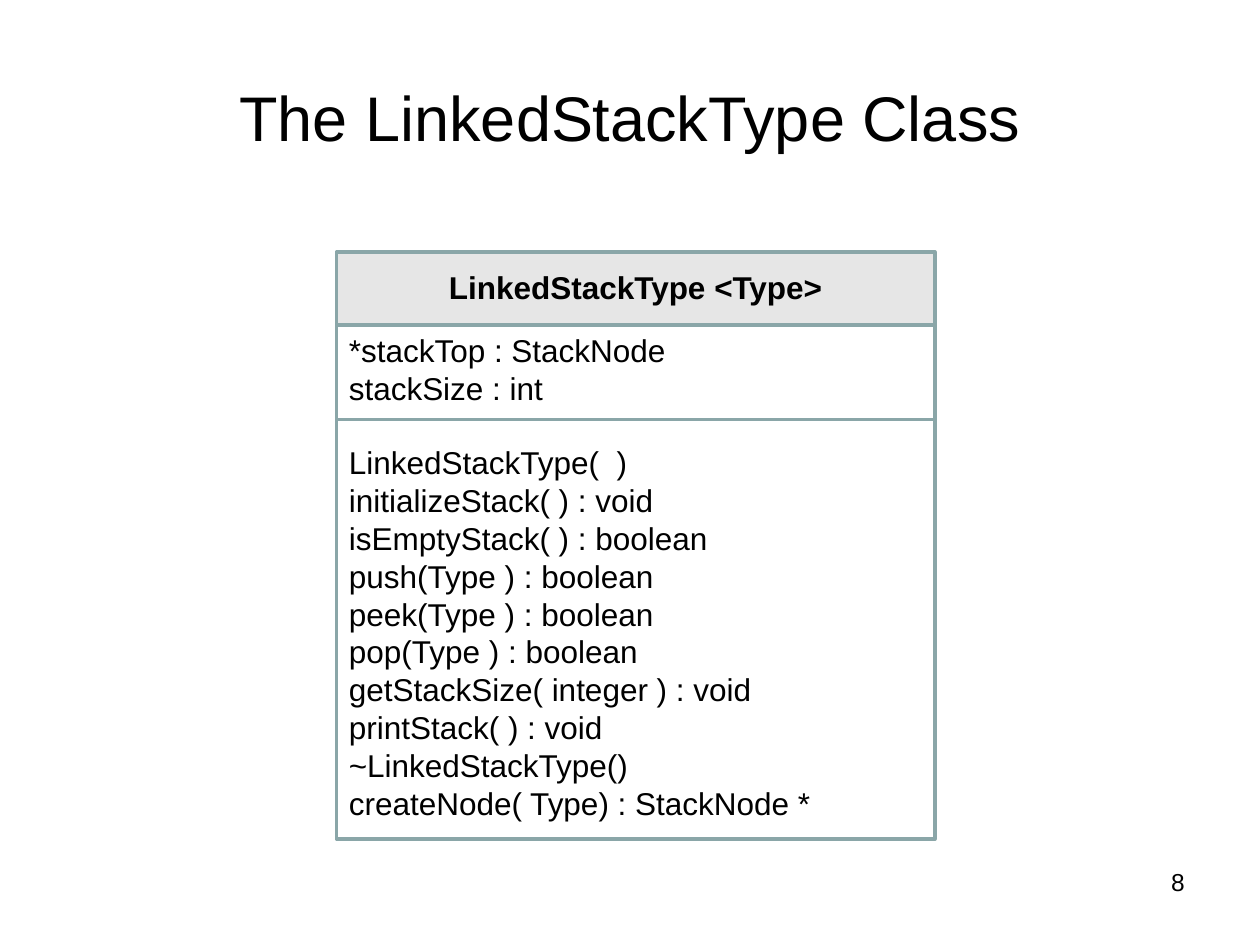
from pptx import Presentation
from pptx import util as u
from pptx.dml.color import RGBColor
from pptx.enum import shapes, text

COLOURS = {"ink": "000000", "border": "8AA6A8", "header": "E6E6E6"}
LEFT, WIDTH = 2.67, 4.75

deck = Presentation()
deck.slide_width, deck.slide_height = u.Inches(10), u.Inches(7.5)
page = deck.slides.add_slide(deck.slide_layouts[6])


def add_compartment(top, height, fill=None):
    box = page.shapes.add_shape(
        shapes.MSO_SHAPE.RECTANGLE, *map(u.Inches, (LEFT, top, WIDTH, height)))
    box.shadow.inherit = False
    box.line.color.rgb = RGBColor.from_string(COLOURS["border"])
    box.line.width = u.Pt(2)
    if fill:
        box.fill.solid()
        box.fill.fore_color.rgb = RGBColor.from_string(COLOURS[fill])
    else:
        box.fill.background()


def add_text(place, lines, align, frame_format=None, **font_format):
    frame = page.shapes.add_textbox(*map(u.Inches, place)).text_frame
    for name, value in {"word_wrap": True, **(frame_format or {})}.items():
        setattr(frame, name, value)
    for number, line in enumerate(lines):
        para = frame.paragraphs[0] if number == 0 else frame.add_paragraph()
        para.alignment = align
        span = para.add_run()
        span.text = line
        span.font.color.rgb = RGBColor.from_string(COLOURS["ink"])
        for name, value in {"name": "Arial", "size": u.Pt(18), **font_format}.items():
            setattr(span.font, name, value)


# Title and page number
add_text((0.5, 0.3, 9, 1.25), ["The LinkedStackType Class"], text.PP_ALIGN.CENTER,
         {"vertical_anchor": text.MSO_ANCHOR.MIDDLE}, size=u.Pt(36))
add_text((8.58, 6.83, 0.92, 0.52), ["8"], text.PP_ALIGN.RIGHT, size=u.Pt(14))

# Class diagram compartments: name, attributes, operations
top = 2
for height, fill in [(0.58, "header"), (0.75, None), (3.33, None)]:
    add_compartment(top, height, fill)
    top += height

# Class name
add_text((LEFT, 2.08, WIDTH, 0.42), ["LinkedStackType <Type>"],
         text.PP_ALIGN.CENTER, bold=True)

# Attributes
add_text((LEFT, 2.58, WIDTH, 0.71), ["*stackTop : StackNode", "stackSize : int"],
         text.PP_ALIGN.LEFT)

# Operations, set below the divider by the top margin
operations = [
    "LinkedStackType(  )",
    "initializeStack( ) : void",
    "isEmptyStack( ) : boolean",
    "push(Type ) : boolean",
    "peek(Type ) : boolean",
    "pop(Type ) : boolean",
    "getStackSize( integer ) : void",
    "printStack( ) : void",
    "~LinkedStackType()",
    "createNode( Type) : StackNode *",
]
add_text((LEFT, 3.17, WIDTH, 3.43), operations, text.PP_ALIGN.LEFT,
         {"margin_top": u.Inches(0.35)})

deck.save("out.pptx")
